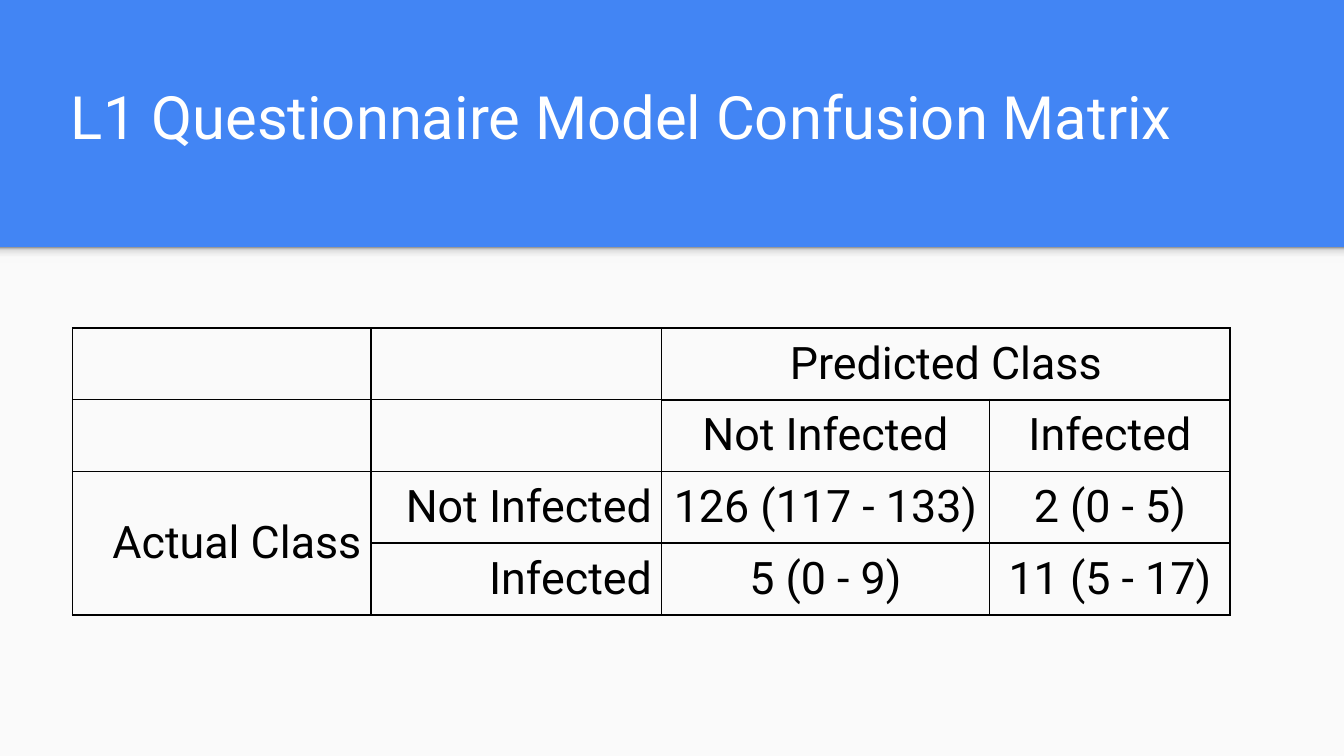
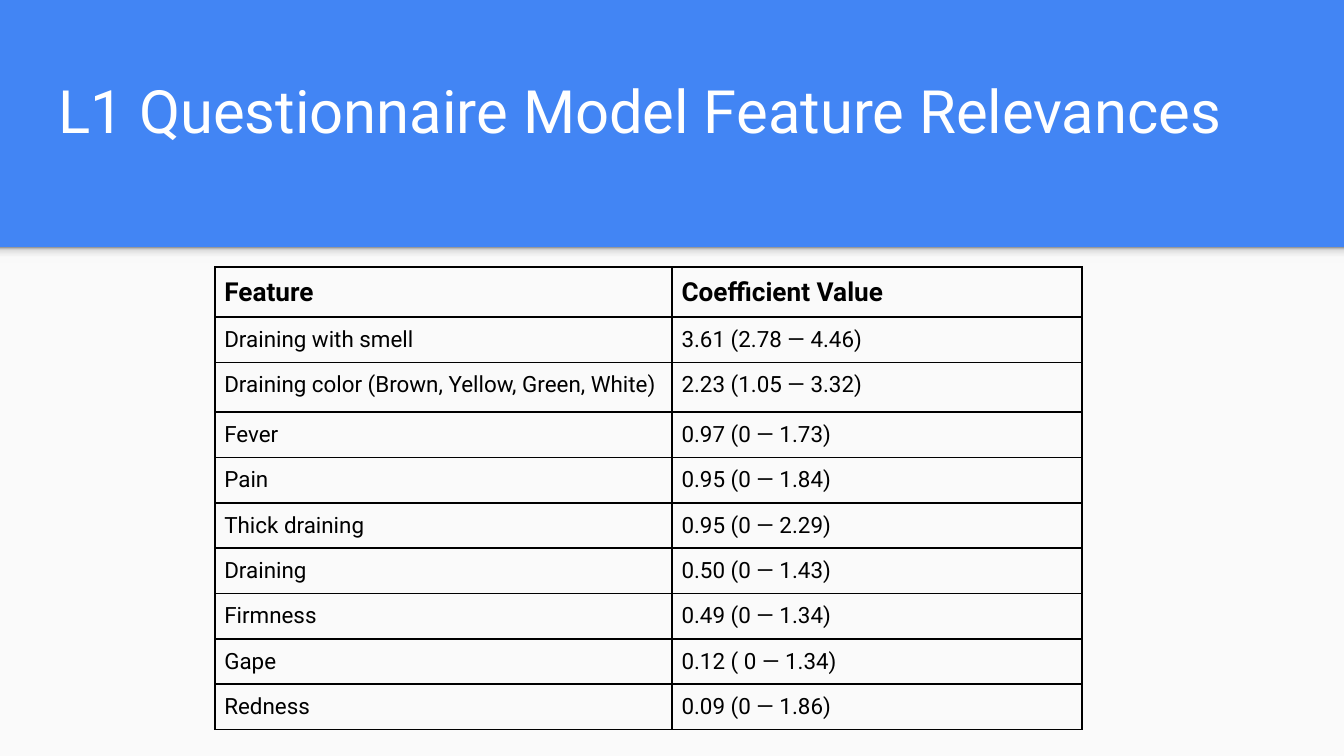
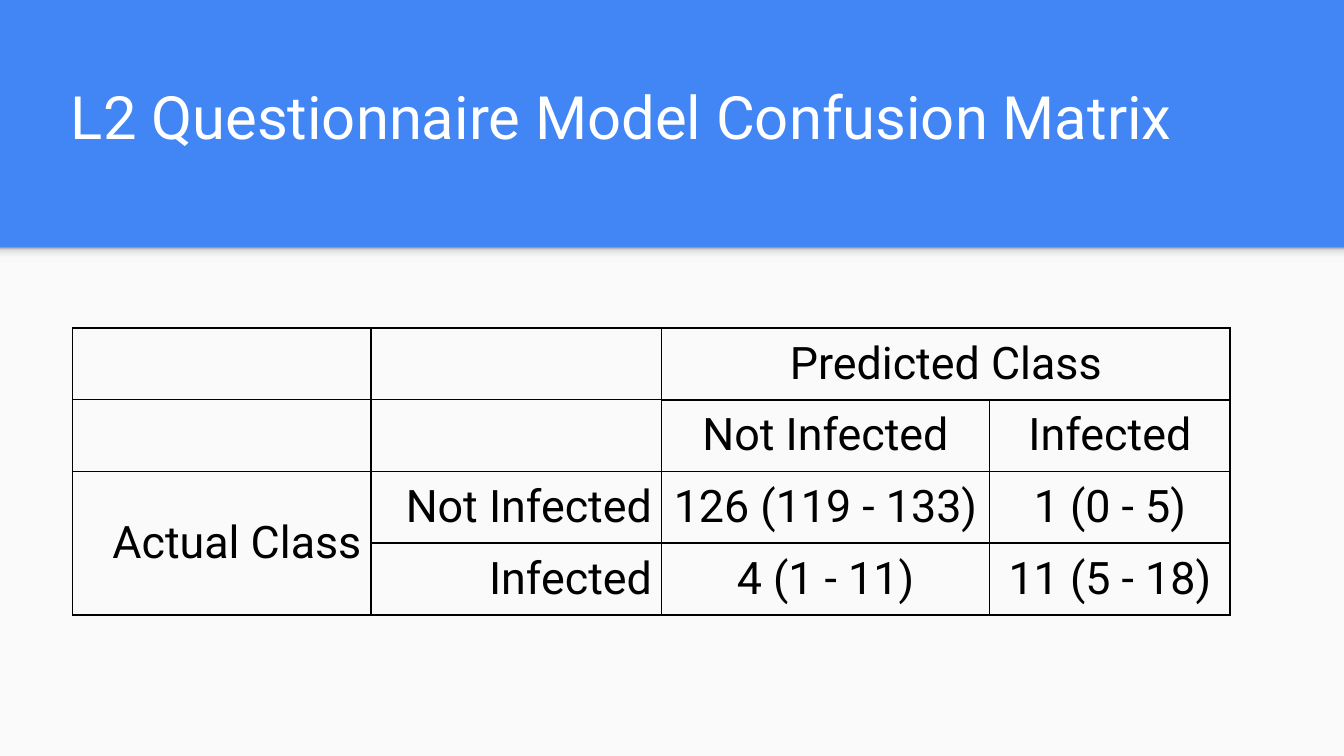
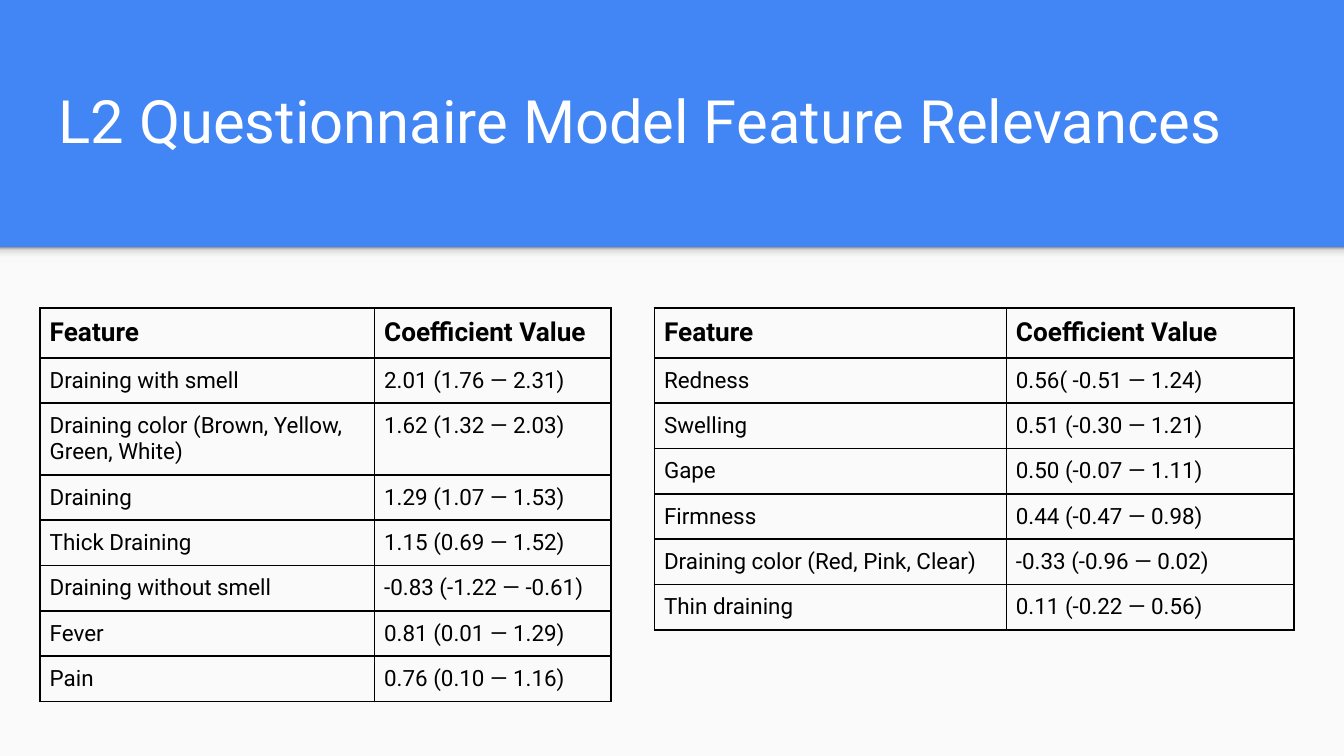
from dataclasses import dataclass

from lxml.etree import SubElement
from pptx import Presentation
from pptx.dml.color import RGBColor
from pptx.enum.shapes import MSO_SHAPE
from pptx.enum.text import MSO_ANCHOR, MSO_AUTO_SIZE, PP_ALIGN
from pptx.oxml.ns import qn
from pptx.util import Cm, Pt


@dataclass(frozen=True)
class Theme:
    font: str = "Roboto"
    band: str = "4285F4"
    panel: str = "FAFAFA"
    title: str = "FFFFFF"
    ink: str = "000000"
    shadow_stops: tuple = ((0, "F9F9F9"), (36, "F9F9F9"), (80, "DEDEDE"), (100, "999999"))
    title_size: int = 32
    matrix_size: int = 24
    header_size: int = 14
    body_size: int = 12
    line: float = 1
    thin_line: float = 0.75


THEME = Theme()
SLIDE_WIDTH, SLIDE_HEIGHT = Cm(25.4), Cm(14.29)
BAND_HEIGHT = Cm(4.67)
TITLE_INSET, CELL_INSET = Cm(0.25), Cm(0.18)

MATRIX_TITLE_BOX = (1.09, 0.99, 22.83, 2.13)
MATRIX_COLUMNS = (5.64, 5.49, 6.2, 4.55)
MATRIX_ROW = 1.35
HEADER_ROW, FEATURE_ROW, TALL_ROW, WRAPPED_ROW = 0.94, 0.85, 0.94, 1.34

L1_FEATURES = (
    ("Draining with smell", "3.61 (2.78 — 4.46)"),
    ("Draining color (Brown, Yellow, Green, White)", "2.23 (1.05 — 3.32)"),
    ("Fever", "0.97 (0 — 1.73)"),
    ("Pain", "0.95 (0 — 1.84)"),
    ("Thick draining", "0.95 (0 — 2.29)"),
    ("Draining", "0.50 (0 — 1.43)"),
    ("Firmness", "0.49 (0 — 1.34)"),
    ("Gape", "0.12 ( 0 — 1.34)"),
    ("Redness", "0.09 (0 — 1.86)"),
)
L2_STRONG_FEATURES = (
    ("Draining with smell", "2.01 (1.76 — 2.31)"),
    ("Draining color (Brown, Yellow, Green, White)", "1.62 (1.32 — 2.03)"),
    ("Draining", "1.29 (1.07 — 1.53)"),
    ("Thick Draining", "1.15 (0.69 — 1.52)"),
    ("Draining without smell", "-0.83 (-1.22 — -0.61)"),
    ("Fever", "0.81 (0.01 — 1.29)"),
    ("Pain", "0.76 (0.10 — 1.16)"),
)
L2_WEAK_FEATURES = (
    ("Redness", "0.56( -0.51 — 1.24)"),
    ("Swelling", "0.51 (-0.30 — 1.21)"),
    ("Gape", "0.50 (-0.07 — 1.11)"),
    ("Firmness", "0.44 (-0.47 — 0.98)"),
    ("Draining color (Red, Pink, Clear)", "-0.33 (-0.96 — 0.02)"),
    ("Thin draining", "0.11 (-0.22 — 0.56)"),
)


def style_runs(text_frame, size, color, bold=False):
    for paragraph in text_frame.paragraphs:
        for run in paragraph.runs:
            run.font.name = THEME.font
            run.font.size = Pt(size)
            run.font.bold = bold
            run.font.color.rgb = RGBColor.from_string(color)


def add_rectangle(slide, top, height):
    rectangle = slide.shapes.add_shape(MSO_SHAPE.RECTANGLE, 0, top, SLIDE_WIDTH, height)
    rectangle.shadow.inherit = False
    rectangle.line.fill.background()
    return rectangle


def fill_shadow(fill):
    fill.gradient()
    fill.gradient_angle = 90
    stops = fill._xPr.find(qn("a:gradFill")).find(qn("a:gsLst"))
    stops.clear()
    for position, color in THEME.shadow_stops:
        stop = SubElement(stops, qn("a:gs"), pos=str(position * 1000))
        SubElement(stop, qn("a:srgbClr"), val=color)


def dress_layout(layout, slide):
    """Draw the shared panel and its shadow on a slide, then move them into the layout."""
    layout.background.fill.solid()
    layout.background.fill.fore_color.rgb = RGBColor.from_string(THEME.band)
    panel = add_rectangle(slide, BAND_HEIGHT, SLIDE_HEIGHT - BAND_HEIGHT)
    panel.fill.solid()
    panel.fill.fore_color.rgb = RGBColor.from_string(THEME.panel)
    band_shadow = add_rectangle(slide, BAND_HEIGHT, Cm(0.3))
    fill_shadow(band_shadow.fill)
    for index, part in enumerate((panel, band_shadow)):
        part.element.nvSpPr.cNvPr.set("id", str(100 + index))
        layout.shapes.element.insert(2 + index, part.element)


def set_title(slide, text, box):
    title = slide.shapes.title
    title.left, title.top, title.width, title.height = map(Cm, box)
    frame = title.text_frame
    frame.text = text
    frame.word_wrap = True
    frame.auto_size = MSO_AUTO_SIZE.NONE
    frame.vertical_anchor = MSO_ANCHOR.BOTTOM
    frame.margin_left = frame.margin_right = TITLE_INSET
    frame.margin_top = frame.margin_bottom = TITLE_INSET
    frame.paragraphs[0].alignment = PP_ALIGN.LEFT
    style_runs(frame, THEME.title_size, THEME.title)


def set_borders(cell, left, right, top, bottom):
    properties = cell._tc.get_or_add_tcPr()
    for side, width in zip("LRTB", (left, right, top, bottom)):
        line = SubElement(properties, qn(f"a:ln{side}"), w=str(Pt(width)))
        fill = SubElement(line, qn("a:solidFill"))
        SubElement(fill, qn("a:srgbClr"), val=THEME.ink)


def set_cell(cell, text, size, alignment=PP_ALIGN.LEFT, bold=False, borders=(THEME.line,) * 4):
    cell.margin_left = cell.margin_right = CELL_INSET
    cell.margin_top = cell.margin_bottom = CELL_INSET
    set_borders(cell, *borders)
    cell.fill.background()
    cell.text_frame.text = text
    cell.text_frame.paragraphs[0].alignment = alignment
    style_runs(cell.text_frame, size, THEME.ink, bold)


def add_grid(slide, left, top, columns, rows):
    """Add a plain table with column widths and row heights in centimetres."""
    table = slide.shapes.add_table(
        len(rows), len(columns), Cm(left), Cm(top), Cm(sum(columns)), Cm(sum(rows))
    ).table
    table.first_row = table.horz_banding = False
    for column, width in zip(table.columns, columns):
        column.width = Cm(width)
    for row, height in zip(table.rows, rows):
        row.height = Cm(height)
    return table


def add_confusion_matrix(slide, not_infected, infected):
    """Each argument holds the two predicted counts for one actual class."""
    entries = (
        ("", "", "Predicted Class", ""),
        ("", "", "Not Infected", "Infected"),
        ("Actual Class", "Not Infected", *not_infected),
        ("", "Infected", *infected),
    )
    matrix = add_grid(slide, 1.37, 6.2, MATRIX_COLUMNS, (MATRIX_ROW,) * len(entries))
    matrix.cell(0, 2).merge(matrix.cell(0, 3))
    matrix.cell(2, 0).merge(matrix.cell(3, 0))
    thin, line = THEME.thin_line, THEME.line
    for r, row in enumerate(entries):
        for c, text in enumerate(row):
            borders = (line,) * 4
            if r < 2 and c < 2:
                borders = (thin, line if c else thin, thin, line if r else thin)
            alignment = PP_ALIGN.RIGHT if c < 2 else PP_ALIGN.CENTER
            set_cell(matrix.cell(r, c), text, THEME.matrix_size, alignment, borders=borders)
    matrix.cell(2, 0).vertical_anchor = MSO_ANCHOR.MIDDLE


def add_feature_table(slide, left, top, columns, features, color_row=FEATURE_ROW):
    """List features with coefficients; color_row is the height of the second feature."""
    rows = [HEADER_ROW] + [FEATURE_ROW] * len(features)
    rows[2] = color_row
    table = add_grid(slide, left, top, columns, rows)
    for r, entry in enumerate((("Feature", "Coefficient Value"), *features)):
        header = r == 0
        size = THEME.header_size if header else THEME.body_size
        for c, text in enumerate(entry):
            set_cell(table.cell(r, c), text, size, bold=header)


def main():
    deck = Presentation()
    deck.slide_width, deck.slide_height = SLIDE_WIDTH, SLIDE_HEIGHT
    layout = deck.slide_layouts[5]
    l1_matrix, l1_relevances, l2_matrix, l2_relevances = (
        deck.slides.add_slide(layout) for _ in range(4)
    )
    dress_layout(layout, l1_matrix)

    set_title(l1_matrix, "L1 Questionnaire Model Confusion Matrix", MATRIX_TITLE_BOX)
    add_confusion_matrix(
        l1_matrix, ("126 (117 - 133)", "2 (0 - 5)"), ("5 (0 - 9)", "11 (5 - 17)")
    )

    set_title(
        l1_relevances, "L1 Questionnaire Model Feature Relevances", (0.86, 0.97, 23.67, 2.03)
    )
    add_feature_table(l1_relevances, 4.06, 5.05, (8.64, 7.75), L1_FEATURES, TALL_ROW)

    set_title(l2_matrix, "L2 Questionnaire Model Confusion Matrix", MATRIX_TITLE_BOX)
    add_confusion_matrix(
        l2_matrix, ("126 (119 - 133)", "1 (0 - 5)"), ("4 (1 - 11)", "11 (5 - 18)")
    )

    set_title(
        l2_relevances, "L2 Questionnaire Model Feature Relevances", (0.86, 1.07, 23.67, 2.11)
    )
    add_feature_table(l2_relevances, 0.76, 5.82, (6.32, 4.47), L2_STRONG_FEATURES, WRAPPED_ROW)
    add_feature_table(l2_relevances, 12.37, 5.82, (6.65, 5.44), L2_WEAK_FEATURES)

    deck.save("out.pptx")


if __name__ == "__main__":
    main()
